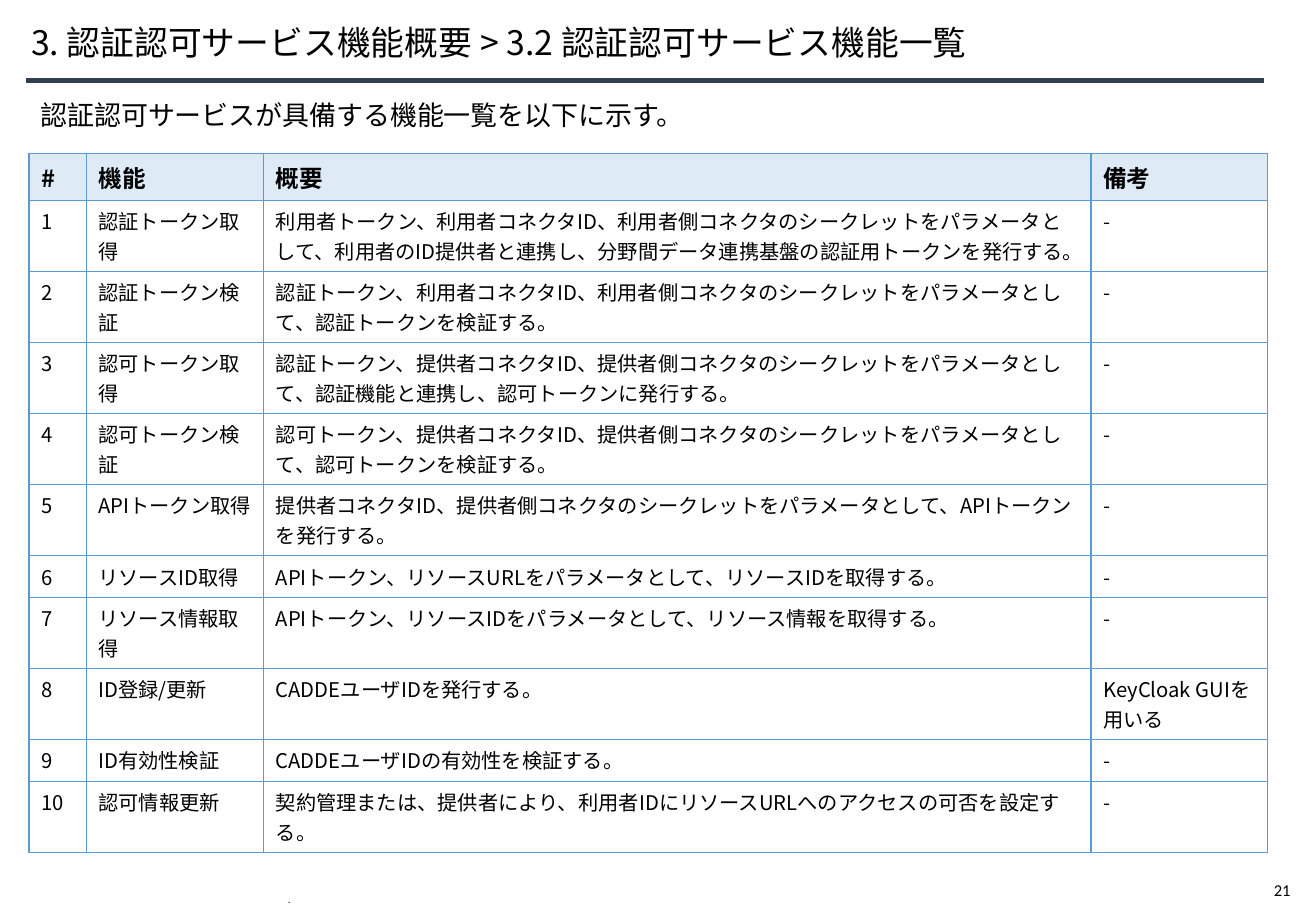
from dataclasses import dataclass

from lxml import etree
from pptx import Presentation
from pptx import util as u
from pptx.dml.color import RGBColor
from pptx.enum import shapes, text
from pptx.oxml import ns

PX = 4572
FONT = "Noto Sans CJK JP"
BLACK = RGBColor(0, 0, 0)
WHITE = RGBColor(255, 255, 255)
NAVY = RGBColor(0x33, 0x3F, 0x50)
BLUE = RGBColor(0x5B, 0x9B, 0xD5)
PALE = RGBColor(0xDE, 0xEB, 0xF7)
COLS = (94, 292, 1362, 290)
TOP = 77
ONE = 69
TWO = 117


@dataclass
class Row:
    name: str
    about: str
    high: int = TWO
    note: str = "-"


ROWS = [
    Row("認証トークン取得", "利用者トークン、利用者コネクタID、利用者側コネクタのシークレットをパラメータとして、"
        "利用者のID提供者と連携し、分野間データ連携基盤の認証用トークンを発行する。"),
    Row("認証トークン検証", "認証トークン、利用者コネクタID、利用者側コネクタのシークレットをパラメータとして、"
        "認証トークンを検証する。"),
    Row("認可トークン取得", "認証トークン、提供者コネクタID、提供者側コネクタのシークレットをパラメータとして、"
        "認証機能と連携し、認可トークンに発行する。"),
    Row("認可トークン検証", "認可トークン、提供者コネクタID、提供者側コネクタのシークレットをパラメータとして、"
        "認可トークンを検証する。"),
    Row("APIトークン取得", "提供者コネクタID、提供者側コネクタのシークレットをパラメータとして、"
        "APIトークンを発行する。"),
    Row("リソースID取得", "APIトークン、リソースURLをパラメータとして、リソースIDを取得する。", ONE),
    Row("リソース情報取得", "APIトークン、リソースIDをパラメータとして、リソース情報を取得する。"),
    Row("ID登録/更新", "CADDEユーザIDを発行する。", note="KeyCloak GUIを用いる"),
    Row("ID有効性検証", "CADDEユーザIDの有効性を検証する。", ONE),
    Row("認可情報更新", "契約管理または、提供者により、利用者IDにリソースURLへのアクセスの可否を設定する。"),
]


def px(*nums: int) -> list[u.Emu]:
    return [u.Emu(n * PX) for n in nums]


def write(frame, words: str, *, size: float, bold: bool = False,
          face: str = FONT, lead=None) -> None:
    para = frame.paragraphs[0]
    para.alignment = text.PP_ALIGN.LEFT
    if lead is not None:
        para.line_spacing = lead
    run = para.add_run()
    run.text = words
    font = run.font
    font.size = u.Pt(size)
    font.bold = bold
    font.color.rgb = BLACK
    font.name = face
    etree.SubElement(font._element, ns.qn("a:ea"), typeface=face)


def label(slide, box: tuple, words: str, *, wrap: bool = True,
          anchor=text.MSO_ANCHOR.TOP, **form) -> None:
    frame = slide.shapes.add_textbox(*px(*box)).text_frame
    frame.word_wrap = wrap
    frame.auto_size = text.MSO_AUTO_SIZE.SHAPE_TO_FIT_TEXT
    frame.vertical_anchor = anchor
    write(frame, words, **form)


def border(cell) -> None:
    props = cell._tc.get_or_add_tcPr()
    for side in ("lnL", "lnR", "lnT", "lnB"):
        line = etree.SubElement(props, ns.qn(f"a:{side}"), w=str(u.Pt(1)))
        fill = etree.SubElement(line, ns.qn("a:solidFill"))
        etree.SubElement(fill, ns.qn("a:srgbClr"), val=str(BLUE))


def head(slide) -> None:
    title = slide.shapes.title
    title.left, title.top, title.width, title.height = px(51, 26, 1984, 94)
    frame = title.text_frame
    frame.margin_left = 0
    frame.word_wrap = True
    frame.auto_size = text.MSO_AUTO_SIZE.NONE
    frame.vertical_anchor = text.MSO_ANCHOR.MIDDLE
    write(frame, "3. 認証認可サービス機能概要 > 3.2 認証認可サービス機能一覧", size=20, lead=0.9)

    rule = slide.shapes.add_connector(
        shapes.MSO_CONNECTOR.STRAIGHT, *px(43, 132, 2081, 132))
    rule.line.color.rgb = NAVY
    rule.line.width = u.Pt(3)
    etree.SubElement(rule._element.spPr, ns.qn("a:effectLst"))


def lead(slide) -> None:
    box = slide.shapes.add_shape(
        shapes.MSO_SHAPE.RECTANGLE, *px(47, 152, 2074, 68))
    box.shadow.inherit = False
    box.fill.solid()
    box.fill.fore_color.rgb = WHITE
    box.line.fill.background()
    frame = box.text_frame
    frame.word_wrap = True
    frame.vertical_anchor = text.MSO_ANCHOR.TOP
    write(frame, "認証認可サービスが具備する機能一覧を以下に示す。", size=16)


def grid(slide) -> None:
    highs = (TOP, *(r.high for r in ROWS))
    table = slide.shapes.add_table(
        len(highs), len(COLS), *px(48, 253, sum(COLS), sum(highs))).table
    table.horz_banding = False
    for col, wide in zip(table.columns, px(*COLS)):
        col.width = wide
    lines = [("#", "機能", "概要", "備考")]
    lines += [(str(n), r.name, r.about, r.note) for n, r in enumerate(ROWS, 1)]
    for i, (row, line, high) in enumerate(zip(table.rows, lines, px(*highs))):
        row.height = high
        for cell, words in zip(row.cells, line):
            border(cell)
            if i == 0:
                cell.fill.solid()
                cell.fill.fore_color.rgb = PALE
            else:
                cell.fill.background()
            write(cell.text_frame, words, size=12 if i else 14, bold=i == 0)


def main() -> None:
    deck = Presentation()
    deck.slide_width, deck.slide_height = px(2166, 1500)
    slide = deck.slides.add_slide(deck.slide_layouts[5])
    label(slide, (2077, 1439, 72, 54), "21", wrap=False, size=9.8, face="Calibri")
    label(slide, (454, 1472, 1260, 28), ".", anchor=text.MSO_ANCHOR.BOTTOM,
          size=5.7, lead=u.Pt(1.6))
    head(slide)
    lead(slide)
    grid(slide)
    deck.save("out.pptx")


if __name__ == "__main__":
    main()
